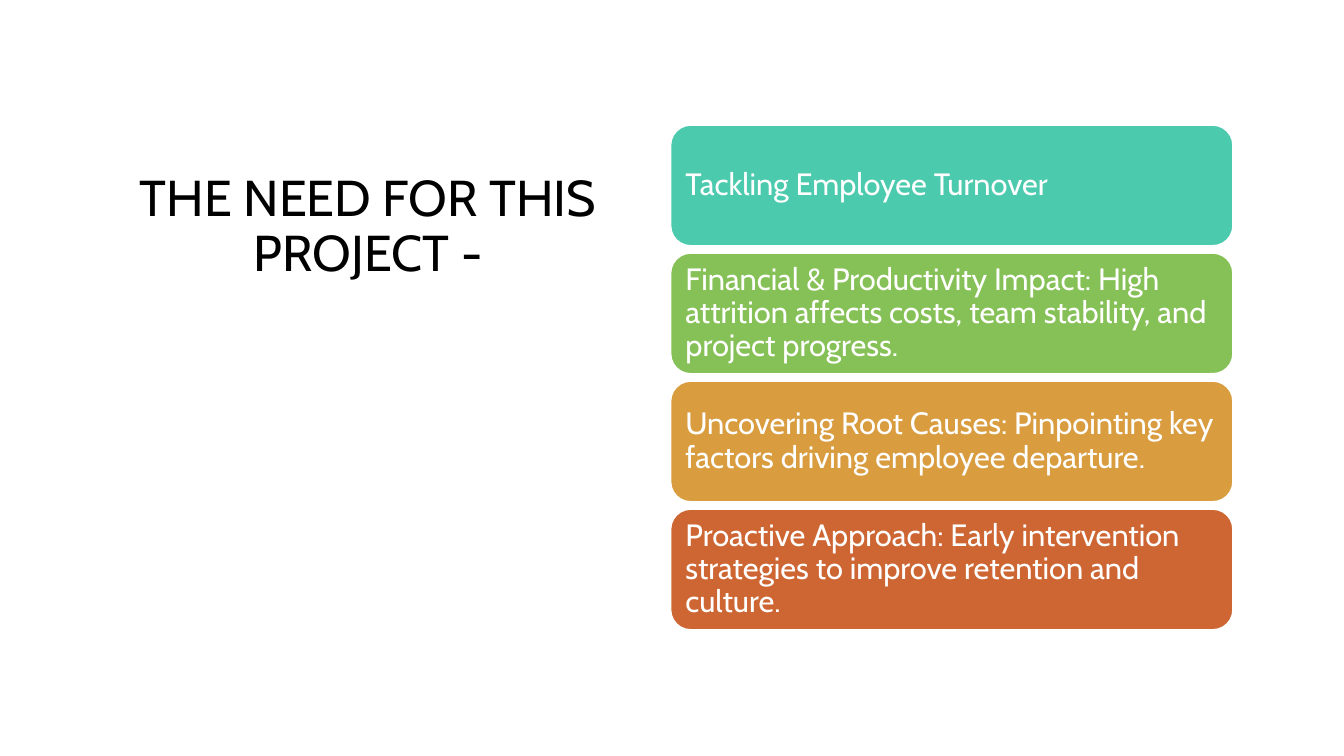
import pptx
import pptx.util
import pptx.dml.color
import pptx.enum.shapes
import pptx.enum.text

FONT = "Cabin"
SLIDE_WIDTH, SLIDE_HEIGHT = 13.33, 7.5
CARD_LEFT, CARD_TOP = 6.65, 1.24
CARD_WIDTH, CARD_HEIGHT = 5.58, 1.2
ROW_PITCH = 1.27
CARDS = [
    ("Tackling Employee Turnover", "4BCAAD"),
    ("Financial & Productivity Impact: High attrition affects costs, "
     "team stability, and project progress.", "86C157"),
    ("Uncovering Root Causes: Pinpointing key factors driving "
     "employee departure.", "D99C3F"),
    ("Proactive Approach: Early intervention strategies to improve "
     "retention and culture.", "CE6633"),
]


def color(value):
    return pptx.dml.color.RGBColor.from_string(value)


def inches(*lengths):
    return [pptx.util.Inches(length) for length in lengths]


def write(shape, text, size, ink, align, anchor):
    frame = shape.text_frame
    frame.word_wrap = True
    frame.vertical_anchor = anchor
    para = frame.paragraphs[0]
    para.text = text
    para.alignment = align
    para.line_spacing = 0.9
    for span in para.runs:
        span.font.name = FONT
        span.font.size = pptx.util.Pt(size)
        span.font.color.rgb = color(ink)


def add_title(page, text):
    box = page.shapes.add_textbox(*inches(0.65, 1.67, 6, 1.71))
    write(box, text, 36, "000000", pptx.enum.text.PP_ALIGN.CENTER,
          pptx.enum.text.MSO_ANCHOR.TOP)


def add_card(page, row, text, fill):
    card = page.shapes.add_shape(
        pptx.enum.shapes.MSO_SHAPE.ROUNDED_RECTANGLE,
        *inches(CARD_LEFT, CARD_TOP + row * ROW_PITCH, CARD_WIDTH, CARD_HEIGHT))
    card.shadow.inherit = False
    card.fill.solid()
    card.fill.fore_color.rgb = color(fill)
    card.line.color.rgb = color("FFFFFF")
    card.line.width = pptx.util.Pt(1.25)
    frame = card.text_frame
    frame.margin_left, frame.margin_top, frame.margin_right, frame.margin_bottom = inches(
        *[0.09] * 4)
    write(card, text, 22, "FFFFFF", pptx.enum.text.PP_ALIGN.LEFT,
          pptx.enum.text.MSO_ANCHOR.MIDDLE)


def main():
    deck = pptx.Presentation()
    deck.slide_width, deck.slide_height = inches(SLIDE_WIDTH, SLIDE_HEIGHT)
    page = deck.slides.add_slide(deck.slide_layouts[6])
    add_title(page, "THE NEED FOR THIS PROJECT -")
    for row, (text, fill) in enumerate(CARDS):
        add_card(page, row, text, fill)
    deck.save("out.pptx")


if __name__ == "__main__":
    main()
